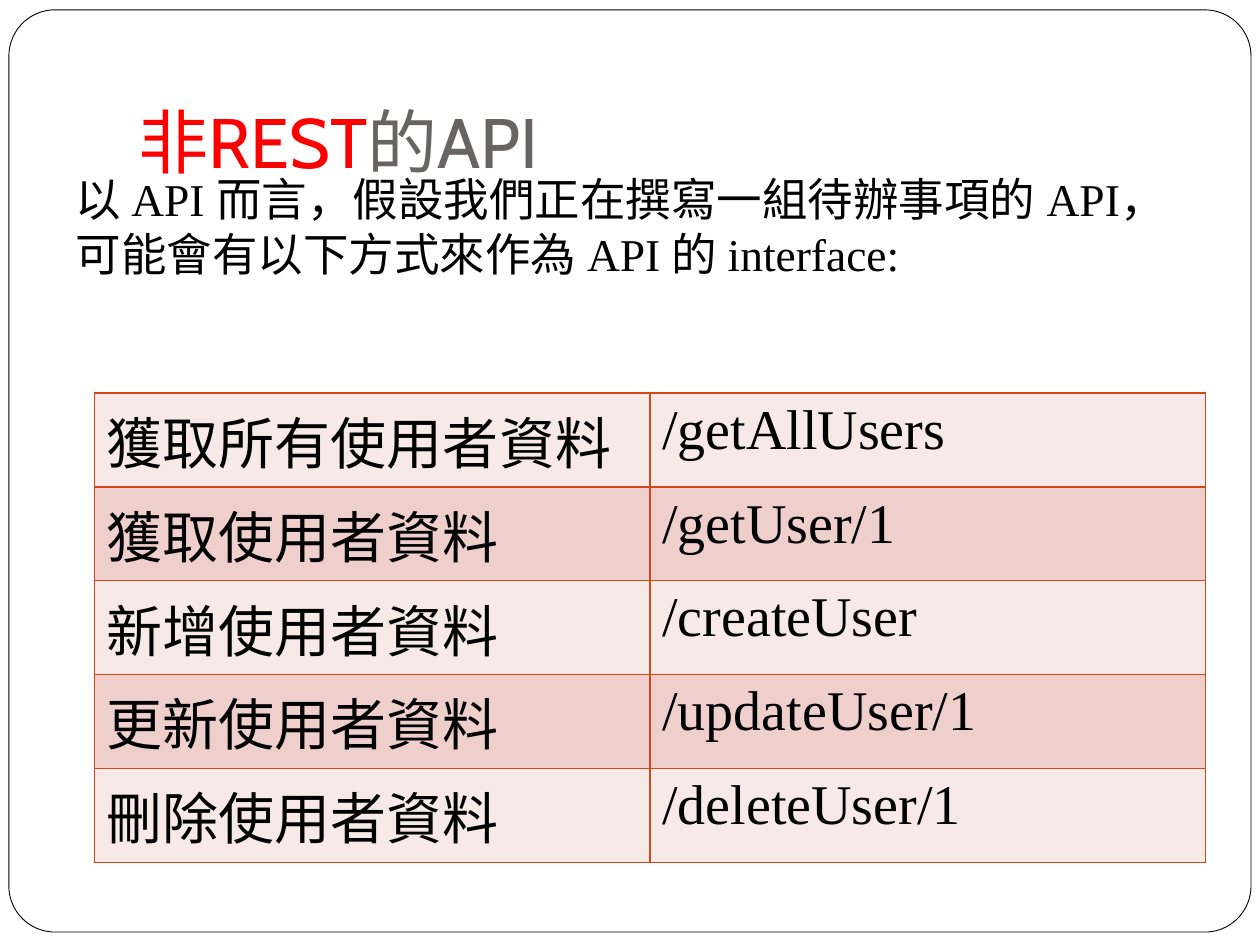
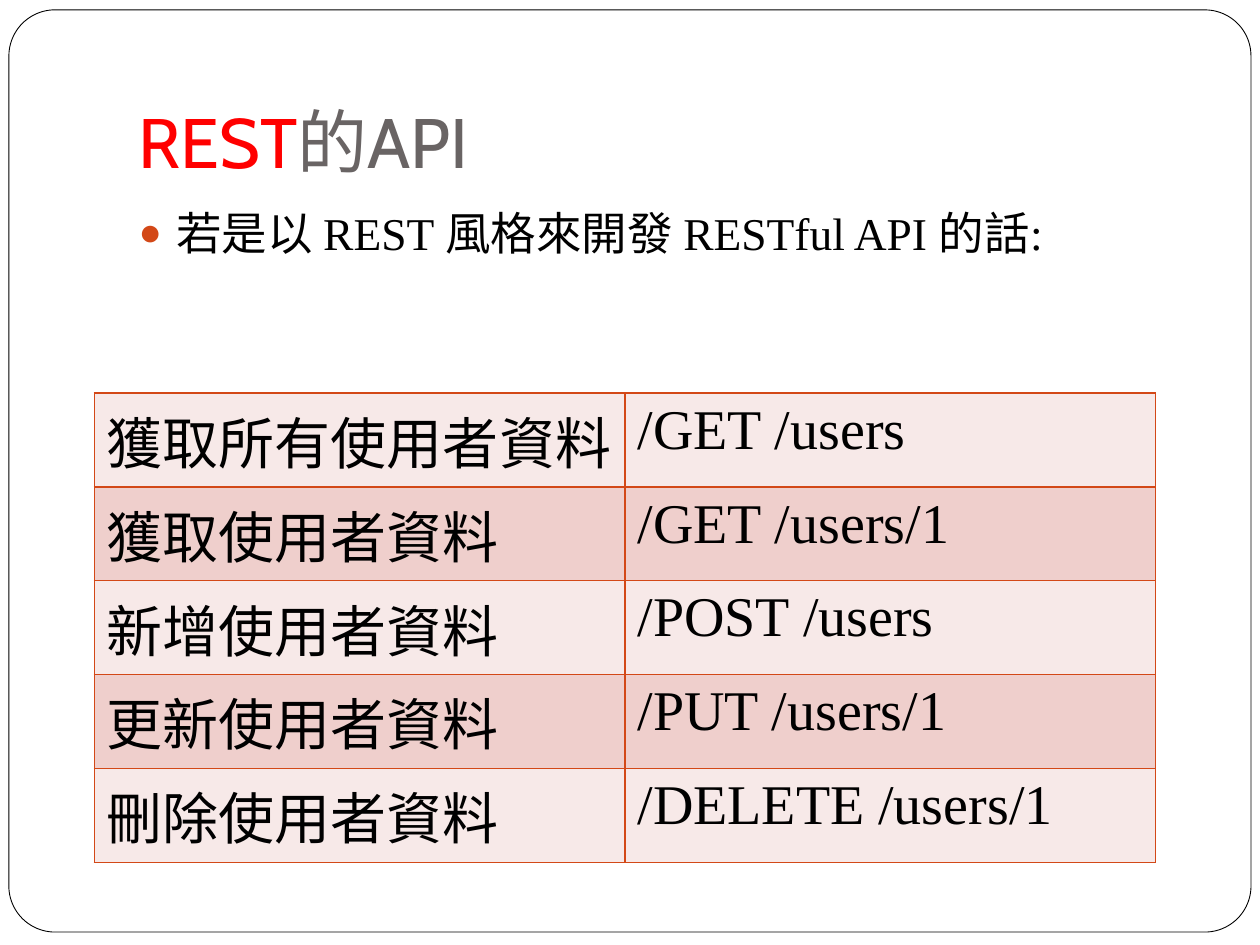
"""Build two slides that set a non-REST API beside a REST one."""
from dataclasses import dataclass

from lxml import etree
from pptx import Presentation
from pptx import util as u
from pptx.dml.color import RGBColor
from pptx.enum import shapes, text
from pptx.oxml import ns


@dataclass(frozen=True)
class Theme:
    head: str = "Cabin"
    font: str = "Times New Roman"
    red: str = "FF0000"
    gray: str = "696464"
    ink: str = "000000"
    paper: str = "FFFFFF"
    rust: str = "D34817"
    bands: tuple = ("F7E9E8", "EFCFCC")
    big: float = 40
    mid: float = 32
    small: float = 26
    gap: float = 5.8
    edge: float = 0.5
    rule: float = 1


def rgb(code):
    return RGBColor.from_string(code)


def write(para, words, *, font, size, color):
    run = para.add_run()
    run.text = words
    run.font.name = font
    run.font.size = u.Pt(size)
    run.font.color.rgb = rgb(color)


def node(up, tag, **keys):
    return etree.SubElement(up, ns.qn(tag), **keys)


class Deck:
    def __init__(self, theme):
        self.theme = theme
        self.prs = Presentation()
        self.prs.slide_width = u.Cm(25.4)
        self.prs.slide_height = u.Cm(19.05)
        self.layout = self.prs.slide_layouts[1]
        self.slide = None

    def page(self):
        self.slide = self.prs.slides.add_slide(self.layout)
        if len(self.prs.slides) == 1:
            self.frame()

    def frame(self):
        box = self.slide.shapes.add_shape(
            shapes.MSO_SHAPE.ROUNDED_RECTANGLE,
            u.Cm(0.18), u.Cm(0.2), u.Cm(25.04), u.Cm(18.59))
        box.adjustments[0] = 0.05
        box.shadow.inherit = False
        box.fill.solid()
        box.fill.fore_color.rgb = rgb(self.theme.paper)
        box.line.color.rgb = rgb(self.theme.ink)
        box.line.width = u.Pt(self.theme.edge)
        box.element.nvSpPr.cNvPr.set("id", "20")
        self.layout.shapes.element.insert(2, box.element)

    def place(self, holder, area, anchor):
        holder.left, holder.top, holder.width, holder.height = map(u.Cm, area)
        body = holder.text_frame
        body.word_wrap = True
        body.auto_size = text.MSO_AUTO_SIZE.NONE
        body.vertical_anchor = anchor
        para = body.paragraphs[0]
        para.alignment = text.PP_ALIGN.LEFT
        return body, para

    def title(self, lead, rest):
        look = self.theme
        body, para = self.place(self.slide.shapes.title,
                                (2.54, 0.76, 21.59, 3.17),
                                text.MSO_ANCHOR.BOTTOM)
        body.margin_bottom = u.Cm(0.25)
        for words, color in ((lead, look.red), (rest, look.gray)):
            write(para, words, font=look.head, size=look.big, color=color)

    def body(self, words, area, bullet):
        look = self.theme
        para = self.place(self.slide.placeholders[1], area,
                          text.MSO_ANCHOR.TOP)[1]
        para.space_before = u.Pt(look.gap)
        write(para, words, font=look.font, size=look.small, color=look.ink)
        props = para._p.get_or_add_pPr()
        dent = u.Cm(0.76) if bullet else 0
        props.set("marL", str(dent))
        props.set("indent", str(-dent))
        if bullet:
            node(node(props, "a:buClr"), "a:srgbClr", val=look.rust)
            node(props, "a:buSzPct", val="85000")
            node(props, "a:buChar", char="●")
        else:
            node(props, "a:buNone")

    def cell(self, cell, words, fill):
        look = self.theme
        cell.fill.solid()
        cell.fill.fore_color.rgb = rgb(fill)
        write(cell.text_frame.paragraphs[0], words,
              font=look.font, size=look.mid, color=look.ink)
        props = cell._tc.get_or_add_tcPr()
        for spot, side in enumerate("LRTB"):
            line = node(props, f"a:ln{side}", w=str(u.Pt(look.rule)))
            node(node(line, "a:solidFill"), "a:srgbClr", val=look.rust)
            props.insert(spot, line)

    def table(self, rows, width, first):
        tall = 1.73
        grid = self.slide.shapes.add_table(
            len(rows), 2, u.Cm(1.9), u.Cm(7.92), u.Cm(width),
            u.Cm(first + tall * (len(rows) - 1))).table
        grid.first_row = grid.horz_banding = False
        for col in grid.columns:
            col.width = u.Cm(width / 2)
        for i, pair in enumerate(rows):
            grid.rows[i].height = u.Cm(tall if i else first)
            for j, words in enumerate(pair):
                self.cell(grid.cell(i, j), words, self.theme.bands[i % 2])


TASKS = ("獲取所有使用者資料", "獲取使用者資料", "新增使用者資料",
         "更新使用者資料", "刪除使用者資料")
PLAIN = ("/getAllUsers", "/getUser/1", "/createUser",
         "/updateUser/1", "/deleteUser/1")
REST = ("/GET /users", "/GET /users/1", "/POST /users",
        "/PUT /users/1", "/DELETE /users/1")


def main():
    deck = Deck(Theme())

    deck.page()
    deck.title("非REST", "的API")
    deck.body("以 API 而言，假設我們正在撰寫一組待辦事項的 API，"
              "可能會有以下方式來作為 API 的 interface:",
              (1.27, 3.33, 22.86, 13.69), bullet=False)
    deck.table(list(zip(TASKS, PLAIN)), width=22.4, first=1.6)

    deck.page()
    deck.title("REST", "的API")
    deck.body("若是以 REST 風格來開發 RESTful API 的話:",
              (2.54, 4.01, 21.59, 12.7), bullet=True)
    deck.table(list(zip(TASKS, REST)), width=21.4, first=1.4)

    deck.prs.save("out.pptx")


if __name__ == "__main__":
    main()
